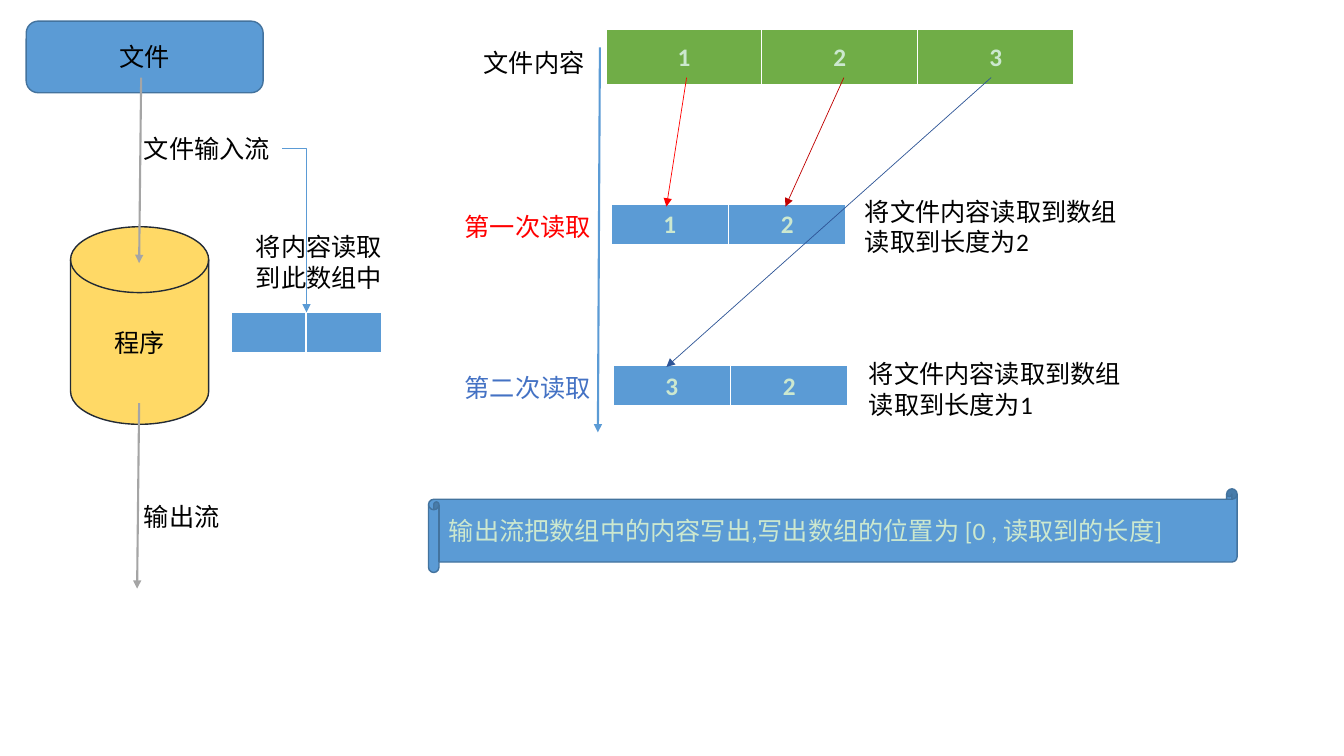
import pptx
import pptx.util
import pptx.dml.color
import pptx.enum.shapes
import pptx.enum.text
import pptx.oxml
import pptx.oxml.ns
from dataclasses import dataclass

Inches = pptx.util.Inches
Pt = pptx.util.Pt
Shape = pptx.enum.shapes.MSO_SHAPE
Link = pptx.enum.shapes.MSO_CONNECTOR
Align = pptx.enum.text.PP_ALIGN
Fit = pptx.enum.text.MSO_AUTO_SIZE
Anchor = pptx.enum.text.MSO_ANCHOR
qn = pptx.oxml.ns.qn
space = pptx.oxml.ns.nsdecls("a")


@dataclass(frozen=True)
class Theme:
    font: str = "Calibri"
    size: int = 18
    thin: float = 0.5
    edge: float = 1
    thick: float = 1.5
    heavy: float = 3
    black: str = "000000"
    white: str = "FFFFFF"
    pale: str = "CCE8CF"
    blue: str = "5B9BD5"
    rim: str = "43739E"
    gold: str = "FFD966"
    dark: str = "222A35"
    gray: str = "A5A5A5"
    green: str = "70AD47"
    red: str = "FF0000"
    wine: str = "C00000"
    royal: str = "4472C4"
    navy: str = "2F5597"


def tint(code):
    return pptx.dml.color.RGBColor.from_string(code)


def style(item, values):
    for name, value in values.items():
        setattr(item, name, value)


class Board:
    def __init__(self, slide, theme):
        self.slide = slide
        self.theme = theme
        fill = slide.background.fill
        fill.solid()
        fill.fore_color.rgb = tint(theme.white)

    def words(self, frame, text, color, align=Align.LEFT, bold=False):
        face = {"name": self.theme.font, "size": Pt(self.theme.size), "bold": bold}
        frame.text = text
        for para in frame.paragraphs:
            para.alignment = align
            style(para.font, face)
            for run in para.runs:
                style(run.font, face)
                run.font.color.rgb = tint(color)

    def shape(self, kind, box, text, fill, line, color, align=Align.CENTER):
        item = self.slide.shapes.add_shape(kind, *map(Inches, box))
        item.shadow.inherit = False
        item.fill.solid()
        item.fill.fore_color.rgb = tint(fill)
        item.line.color.rgb = tint(line)
        item.line.width = Pt(self.theme.edge)
        style(item.text_frame, {"word_wrap": True, "vertical_anchor": Anchor.MIDDLE})
        self.words(item.text_frame, text, color, align)

    def label(self, box, text, color=None, wrap=True):
        item = self.slide.shapes.add_textbox(*map(Inches, box))
        style(item.text_frame, {"word_wrap": wrap, "auto_size": Fit.SHAPE_TO_FIT_TEXT})
        self.words(item.text_frame, text, color or self.theme.black)

    def arrow(self, start, end, color, width, bent=False):
        kind = Link.ELBOW if bent else Link.STRAIGHT
        item = self.slide.shapes.add_connector(kind, *map(Inches, start + end))
        item.line.color.rgb = tint(color)
        item.line.width = Pt(width)
        props = item._element.spPr
        if bent:
            props.find(qn("a:prstGeom")).set("prst", "bentConnector2")
        line = props.find(qn("a:ln"))
        line.append(pptx.oxml.parse_xml(f'<a:tailEnd {space} type="triangle"/>'))
        props.append(pptx.oxml.parse_xml(f'<a:effectLst {space}/>'))

    def border(self, cell):
        props = cell._tc.get_or_add_tcPr()
        for side in "LRTB":
            width = self.theme.heavy if side == "B" else self.theme.edge
            props.append(pptx.oxml.parse_xml(
                f'<a:ln{side} {space} w="{Pt(width)}"><a:solidFill>'
                f'<a:srgbClr val="{self.theme.white}"/></a:solidFill></a:ln{side}>'))

    def array(self, box, items, fill):
        frame = self.slide.shapes.add_table(1, len(items), *map(Inches, box))
        grid = frame.table
        grid.horz_banding = False
        for col, text in enumerate(items):
            cell = grid.cell(0, col)
            cell.vertical_anchor = Anchor.MIDDLE
            self.border(cell)
            cell.fill.solid()
            cell.fill.fore_color.rgb = tint(fill)
            self.words(cell.text_frame, text, self.theme.pale, Align.CENTER, True)


deck = pptx.Presentation()
style(deck, {"slide_width": Inches(13.33), "slide_height": Inches(7.5)})
look = Theme()
board = Board(deck.slides.add_slide(deck.slide_layouts[6]), look)

board.shape(Shape.ROUNDED_RECTANGLE, (0.26, 0.21, 2.35, 0.71), "文件", look.blue, look.rim, look.black)
board.shape(Shape.FLOWCHART_MAGNETIC_DISK, (0.7, 2.25, 1.37, 1.96), "程序", look.gold, look.dark, look.black)
board.arrow((1.4, 0.77), (1.38, 2.61), look.gray, look.thick)
board.label((1.33, 1.27, 1.46, 0.4), "文件输入流", wrap=False)

board.array((6.01, 0.29, 4.64, 0.56), "123", look.green)
board.label((4.7, 0.42, 1.44, 0.71), "文件内容")

reads = [
    ("第一次读取", look.red, "12", 2, (6.06, 2.03), (8.48, 1.9), 2.05),
    ("第二次读取", look.royal, "32", 1, (6.08, 3.63), (8.52, 3.51), 3.64),
]
for name, color, items, count, spot, note, top in reads:
    board.array((*spot, 2.33, 0.41), items, look.blue)
    board.label((*note, 2.82, 0.71), f"将文件内容读取到数组\n读取到长度为{count}")
    board.label((4.51, top, 1.57, 0.4), name, color)

board.arrow((5.95, 0.47), (5.93, 4.29), look.blue, look.thick)
board.arrow((1.38, 4), (1.36, 5.84), look.gray, look.thick)
board.label((1.33, 4.92, 0.96, 0.4), "输出流", wrap=False)
board.shape(Shape.HORIZONTAL_SCROLL, (4.25, 4.85, 8.02, 0.83),
            "输出流把数组中的内容写出,写出数组的位置为 [0 , 读取到的长度]",
            look.blue, look.rim, look.pale, Align.LEFT)

board.array((2.29, 3.1, 1.49, 0.41), ["", ""], look.blue)
board.arrow((2.8, 1.47), (3.04, 3.1), look.blue, look.thin, bent=True)
board.label((2.44, 2.25, 1.46, 0.71), "将内容读取\n到此数组中", wrap=False)

moves = [
    (6.81, (6.61, 2.05), look.red),
    (8.37, (7.79, 2.05), look.wine),
    (9.83, (6.61, 3.64), look.navy),
]
for left, end, color in moves:
    board.arrow((left, 0.77), end, color, look.thin)

deck.save("out.pptx")
